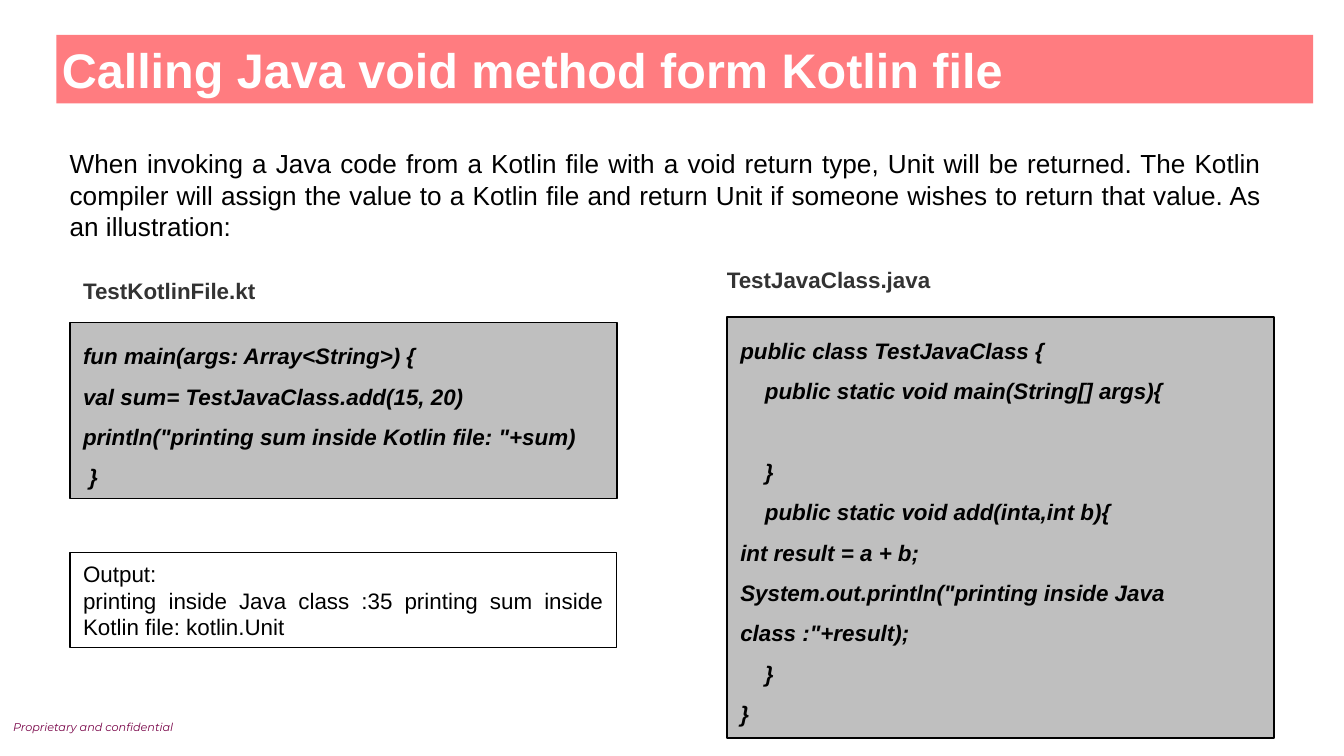
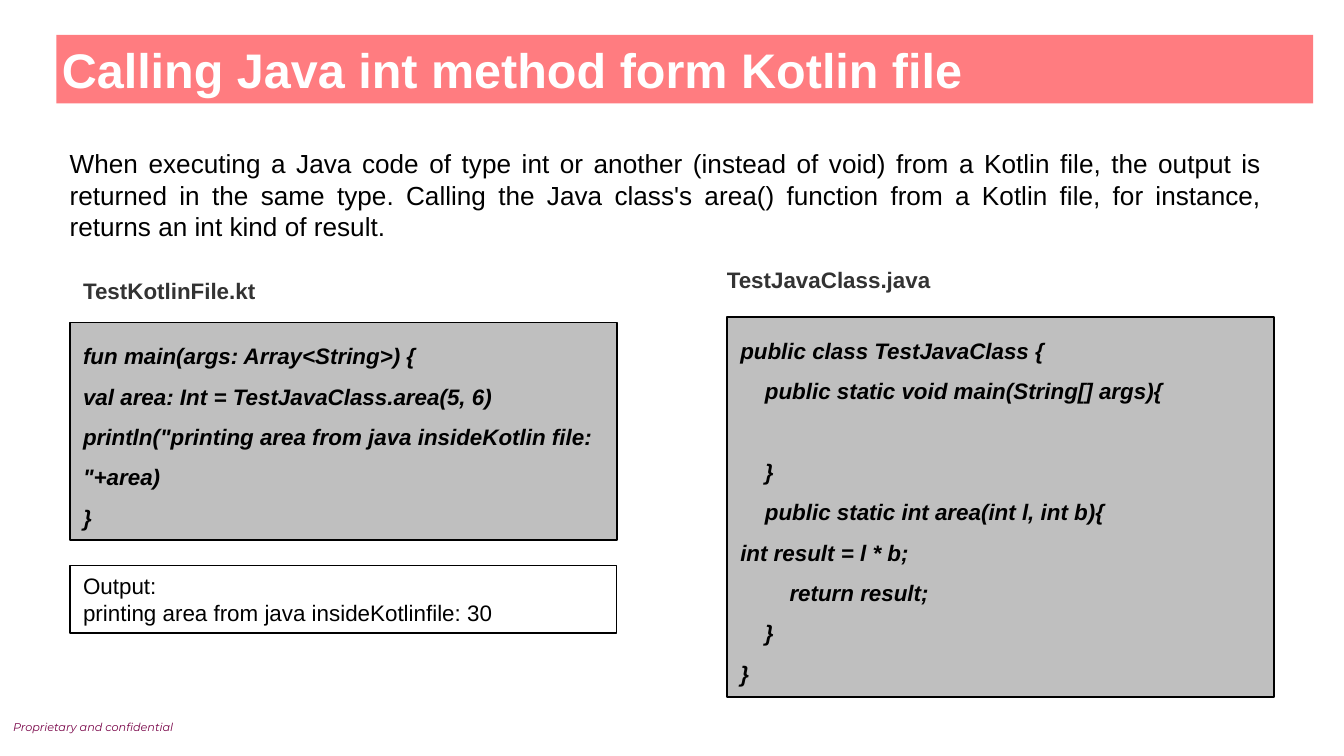
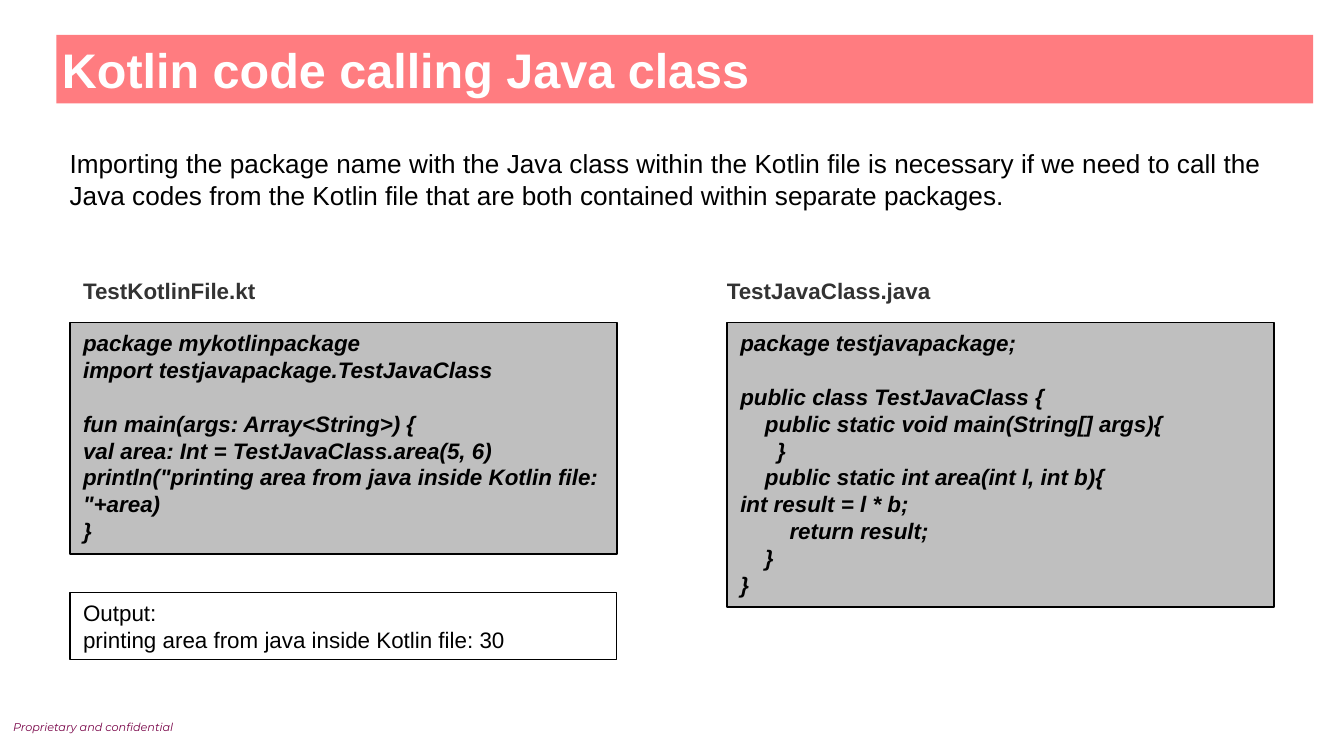
from pptx import Presentation
from pptx.dml.color import RGBColor
from pptx.enum.shapes import MSO_SHAPE
from pptx.enum.text import MSO_ANCHOR, MSO_AUTO_SIZE, PP_ALIGN
from pptx.util import Inches, Pt

RECTANGLE = MSO_SHAPE.RECTANGLE
TOP, MIDDLE = MSO_ANCHOR.TOP, MSO_ANCHOR.MIDDLE
GROW, FIXED = MSO_AUTO_SIZE.SHAPE_TO_FIT_TEXT, MSO_AUTO_SIZE.NONE
LEFT, JUSTIFY = PP_ALIGN.LEFT, PP_ALIGN.JUSTIFY

# Shared colours and measures
BAND, CODE_FILL, WHITE = "FF7C80", "BFBFBF", "FFFFFF"
BLACK, LABEL_GREY, FOOTER_PURPLE = "000000", "333333", "770046"
SLIDE_WIDTH = 10
KOTLIN_LEFT, JAVA_LEFT, PANEL_WIDTH = 0.52, 5.41, 4.07
KOTLIN_LABEL_TOP, KOTLIN_CODE_TOP = 2.01, 2.4
CODE_SIZE = 12
SPACE_WIDTH = 3.3   # points per leading space of a code line
LINE_HEIGHT = 14.4  # points per single-spaced code line

# Content of the slides; code is written with its own indents and blank lines
slides = [
    {
        "title": "Calling Java void method form Kotlin file",
        "intro": "When invoking a Java code from a Kotlin file with a void return type, "
                 "Unit will be returned. The Kotlin compiler will assign the value to a "
                 "Kotlin file and return Unit if someone wishes to return that value. "
                 "As an illustration:",
        "intro_height": 0.81,
        "spacing": 1.5,
        "kotlin_height": 1.31,
        "kotlin": """fun main(args: Array<String>) {
val sum= TestJavaClass.add(15, 20)
println("printing sum inside Kotlin file: "+sum)
 }""",
        "java_label_top": 1.93, "java_top": 2.36, "java_height": 3.13,
        "java": """public class TestJavaClass {
    public static void main(String[] args){

    }
    public static void add(inta,int b){
int result = a + b;
System.out.println("printing inside Java class :"+result);
    }
}""",
        "output_top": 4.11, "output_height": 0.71,
        "output": "printing inside Java class :35 printing sum inside Kotlin file: kotlin.Unit",
    },
    {
        "title": "Calling Java int method form Kotlin file",
        "intro": "When executing a Java code of type int or another (instead of void) from "
                 "a Kotlin file, the output is returned in the same type. Calling the Java "
                 "class's area() function from a Kotlin file, for instance, returns an int "
                 "kind of result.",
        "intro_height": 0.81,
        "spacing": 1.5,
        "kotlin_height": 1.62,
        "kotlin": """fun main(args: Array<String>) {
val area: Int = TestJavaClass.area(5, 6)
println("printing area from java insideKotlin file: "+area)
}""",
        "java_label_top": 1.93, "java_top": 2.36, "java_height": 2.83,
        "java": """public class TestJavaClass {
    public static void main(String[] args){

    }
    public static int area(int l, int b){
int result = l * b;
        return result;
    }
}""",
        "output_top": 4.21, "output_height": 0.5,
        "output": "printing area from java insideKotlinfile: 30",
    },
    {
        "title": "Kotlin code calling Java class",
        "intro": "Importing the package name with the Java class within the Kotlin file is "
                 "necessary if we need to call the Java codes from the Kotlin file that are "
                 "both contained within separate packages.",
        "intro_height": 0.57,
        "spacing": 1,
        "kotlin_height": 1.72,
        "kotlin": """package mykotlinpackage
import testjavapackage.TestJavaClass

fun main(args: Array<String>) {
val area: Int = TestJavaClass.area(5, 6)
println("printing area from java inside Kotlin file: "+area)
}""",
        "java_label_top": 2.01, "java_top": 2.4, "java_height": 2.12,
        "java": """package testjavapackage;

public class TestJavaClass {
    public static void main(String[] args){
      }
    public static int area(int l, int b){
int result = l * b;
        return result;
    }
}""",
        "output_top": 4.41, "output_height": 0.5,
        "output": "printing area from java inside Kotlin file: 30",
    },
]


def color(hex_value):
    return RGBColor.from_string(hex_value)


def write(shape, text, size, ink, bold=False, italic=False, font="Arial", align=LEFT,
          anchor=TOP, spacing=1, margins=(0.1, 0.05), fit=GROW):
    """Fill a shape with text; leading spaces become indents, blank lines become gaps."""
    frame = shape.text_frame
    frame.word_wrap = True
    frame.auto_size = fit
    frame.vertical_anchor = anchor
    frame.margin_left = frame.margin_right = Inches(margins[0])
    frame.margin_top = frame.margin_bottom = Inches(margins[1])
    lines = text.split("\n")
    frame.text = "\n".join(line.lstrip() for line in lines if line)
    paragraphs = iter(frame.paragraphs)
    gap = 0
    for line in lines:
        if not line:
            gap += LINE_HEIGHT * spacing
            continue
        paragraph = next(paragraphs)
        paragraph.alignment = align
        paragraph.line_spacing = float(spacing)
        paragraph.space_before = Pt(gap)
        gap = 0
        indent = len(line) - len(line.lstrip())
        if indent:
            paragraph._p.get_or_add_pPr().set("marL", str(Pt(indent * SPACE_WIDTH)))
        for run in paragraph.runs:
            run.font.name = font
            run.font.size = Pt(size)
            run.font.bold = bold
            run.font.italic = italic
            run.font.color.rgb = color(ink)


# Widescreen 16:9 deck
prs = Presentation()
prs.slide_width, prs.slide_height = Inches(SLIDE_WIDTH), Inches(SLIDE_WIDTH * 9 / 16)
title_only = prs.slide_layouts[5]

for content in slides:
    slide = prs.slides.add_slide(title_only)
    shapes = slide.shapes

    # Title band
    title = shapes.title
    title.left, title.top = Inches(0.42), Inches(0.26)
    title.width, title.height = Inches(9.35), Inches(0.51)
    title.fill.solid()
    title.fill.fore_color.rgb = color(BAND)
    write(title, content["title"], 26, WHITE, bold=True, anchor=MIDDLE,
          margins=(0.04, 0.04), fit=FIXED)

    # Introduction
    intro = shapes.add_textbox(Inches(0.42), Inches(1.05), Inches(9.07),
                               Inches(content["intro_height"]))
    write(intro, content["intro"], 14, BLACK, align=JUSTIFY)

    # File names above the code
    for file_name, left, top in (
        ("TestKotlinFile.kt", KOTLIN_LEFT, KOTLIN_LABEL_TOP),
        ("TestJavaClass.java", JAVA_LEFT - 0.1, content["java_label_top"]),
    ):
        label = shapes.add_textbox(Inches(left), Inches(top), Inches(1.96), Inches(0.3))
        write(label, file_name, CODE_SIZE, LABEL_GREY, bold=True)

    # Code panels and output panel
    code_style = {"bold": True, "italic": True, "spacing": content["spacing"]}
    output_style = {"align": JUSTIFY, "anchor": MIDDLE}
    for text, left, top, height, fill, border, style in (
        (content["kotlin"], KOTLIN_LEFT, KOTLIN_CODE_TOP, content["kotlin_height"],
         CODE_FILL, 1, code_style),
        (content["java"], JAVA_LEFT, content["java_top"], content["java_height"],
         CODE_FILL, 1, code_style),
        ("Output:\n" + content["output"], KOTLIN_LEFT, content["output_top"],
         content["output_height"], WHITE, 0.75, output_style),
    ):
        panel = shapes.add_shape(RECTANGLE, Inches(left), Inches(top),
                                 Inches(PANEL_WIDTH), Inches(height))
        panel.shadow.inherit = False
        panel.fill.solid()
        panel.fill.fore_color.rgb = color(fill)
        panel.line.color.rgb = color(BLACK)
        panel.line.width = Pt(border)
        write(panel, text, CODE_SIZE, BLACK, **style)

    # Footer
    footer = shapes.add_textbox(Inches(0), Inches(5.31), Inches(1.83), Inches(0.3))
    write(footer, "Proprietary and confidential", 6, FOOTER_PURPLE, italic=True,
          font="Montserrat", margins=(0.1, 0.1))

prs.save("out.pptx")
